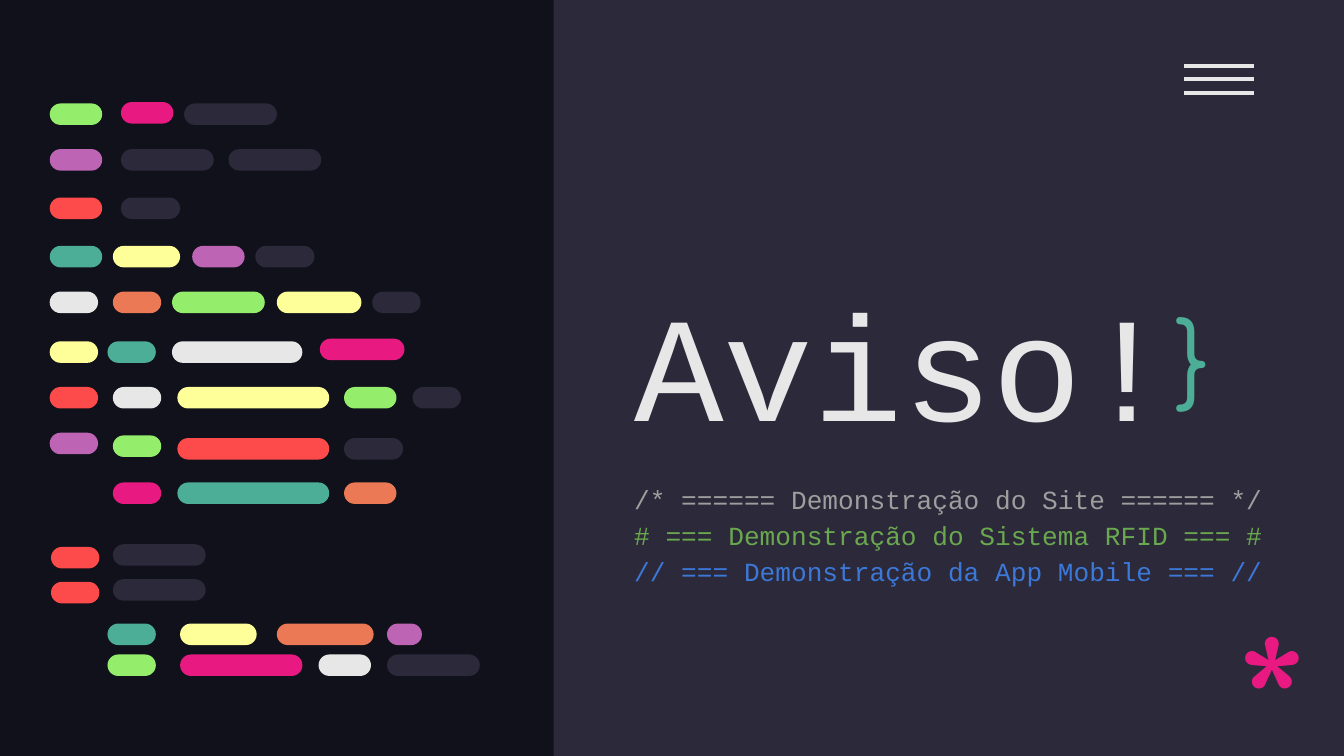
from lxml import etree
from pptx import Presentation
from pptx import util as u
from pptx.dml.color import RGBColor
from pptx.enum import shapes, text
from pptx.oxml.ns import qn

WIDTH = 10
HEIGHT = WIDTH * 9 / 16
PANEL_LEFT = 4.12
TEXT_LEFT = 4.62
PILL_HEIGHT = 0.16
CODE_FONT, SYMBOL_FONT = "Courier New", "Comfortaa"

COLORS = {
    "night": "10111A", "slate": "2C293A", "white": "E7E7E7",
    "green": "94EE6B", "pink": "E81A81", "purple": "BD64B5",
    "red": "FD4A4A", "teal": "4CAE97", "yellow": "FFFF99",
    "orange": "EC7955", "gray": "9E9E9E", "leaf": "6AA84F",
    "blue": "3C78D8",
}

# Top of each row of code, then the left, width and colour of its pills
CODE_ROWS = [
    (0.77, [(0.37, 0.39, "green"), (1.37, 0.69, "slate")]),
    (0.76, [(0.9, 0.39, "pink")]),
    (1.11, [(0.37, 0.39, "purple"), (0.9, 0.69, "slate"), (1.7, 0.69, "slate")]),
    (1.47, [(0.37, 0.39, "red"), (0.9, 0.44, "slate")]),
    (1.83, [(0.37, 0.39, "teal"), (0.84, 0.5, "yellow"),
            (1.43, 0.39, "purple"), (1.9, 0.44, "slate")]),
    (2.17, [(0.37, 0.36, "white"), (0.84, 0.36, "orange"), (1.28, 0.69, "green"),
            (2.06, 0.63, "yellow"), (2.77, 0.36, "slate")]),
    (2.54, [(0.37, 0.36, "yellow"), (0.8, 0.36, "teal"), (1.28, 0.97, "white")]),
    (2.52, [(2.38, 0.63, "pink")]),
    (2.88, [(0.37, 0.36, "red"), (0.84, 0.36, "white"), (1.32, 1.13, "yellow"),
            (2.56, 0.39, "green"), (3.07, 0.36, "slate")]),
    (3.22, [(0.37, 0.36, "purple")]),
    (3.24, [(0.84, 0.36, "green")]),
    (3.26, [(1.32, 1.13, "red"), (2.56, 0.44, "slate")]),
    (3.59, [(0.84, 0.36, "pink"), (1.32, 1.13, "teal"), (2.56, 0.39, "orange")]),
    (4.07, [(0.38, 0.36, "red")]),
    (4.05, [(0.84, 0.69, "slate")]),
    (4.33, [(0.38, 0.36, "red")]),
    (4.31, [(0.84, 0.69, "slate")]),
    (4.64, [(0.8, 0.36, "teal"), (1.34, 0.57, "yellow"),
            (2.06, 0.72, "orange"), (2.88, 0.26, "purple")]),
    (4.87, [(0.8, 0.36, "green"), (1.34, 0.91, "pink"),
            (2.37, 0.39, "white"), (2.88, 0.69, "slate")]),
]

COMMENTS = [
    ("/* ====== Demonstração do Site ====== */", "gray"),
    ("# === Demonstração do Sistema RFID === #", "leaf"),
    ("// === Demonstração da App Mobile === //", "blue"),
]


def color(name):
    return RGBColor.from_string(COLORS[name])


def inches(*lengths):
    return [u.Inches(length) for length in lengths]


def add_block(slide, kind, box, fill):
    shape = slide.shapes.add_shape(kind, *inches(*box))
    shape.shadow.inherit = False
    shape.fill.solid()
    shape.fill.fore_color.rgb = color(fill)
    shape.line.fill.background()
    return shape


def add_panel(slide):
    """Add the right-hand panel behind everything else."""
    box = (PANEL_LEFT, 0, WIDTH - PANEL_LEFT, HEIGHT)
    panel = add_block(slide, shapes.MSO_SHAPE.RECTANGLE, box, "slate")
    slide.shapes._spTree.insert(2, panel._element)


def add_menu_icon(slide):
    for row in range(3):
        top = 0.49 + 0.1 * row
        line = slide.shapes.add_connector(
            shapes.MSO_CONNECTOR.STRAIGHT, *inches(8.81, top, 9.33, top))
        line.line.color.rgb = color("white")
        line.line.width = u.Pt(2.25)
        etree.SubElement(line._element.spPr, qn("a:effectLst"))


def add_code_pills(slide):
    for top, pills in CODE_ROWS:
        for left, width, fill in pills:
            pill = add_block(slide, shapes.MSO_SHAPE.ROUNDED_RECTANGLE,
                             (left, top, width, PILL_HEIGHT), fill)
            pill.adjustments[0] = 0.5


def write_lines(shape, lines, size, font, spacing=1.0,
                anchor=text.MSO_ANCHOR.TOP):
    """Fill a shape with one left-aligned paragraph per (words, colour)."""
    frame = shape.text_frame
    frame.auto_size = text.MSO_AUTO_SIZE.NONE
    frame.word_wrap = True
    frame.vertical_anchor = anchor
    frame.margin_left = frame.margin_right = u.Inches(0.1)
    frame.margin_top = frame.margin_bottom = u.Inches(0.1)
    frame.text = "\n".join(words for words, _ in lines)
    for paragraph, (_, name) in zip(frame.paragraphs, lines):
        paragraph.alignment = text.PP_ALIGN.LEFT
        paragraph.line_spacing = spacing
        paragraph.space_before = u.Pt(0)
        for run in paragraph.runs:
            run.font.size = u.Pt(size)
            run.font.name = font
            run.font.color.rgb = color(name)


def set_title(slide, words):
    title = slide.shapes.title
    title.left, title.top, title.width, title.height = inches(
        TEXT_LEFT, 1.31, 4.6, 2.15)
    write_lines(title, [(words, "white")], 80, CODE_FONT,
                anchor=text.MSO_ANCHOR.BOTTOM)


def add_comments(slide):
    box = add_block(slide, shapes.MSO_SHAPE.RECTANGLE,
                    (TEXT_LEFT, 3.46, 5.09, 1.17), "slate")
    write_lines(box, COMMENTS, 14, CODE_FONT, spacing=1.15)


def add_symbol(slide, symbol, box, size, name):
    shape = slide.shapes.add_textbox(*inches(*box))
    write_lines(shape, [(symbol, name)], size, SYMBOL_FONT)


def main():
    presentation = Presentation()
    presentation.slide_width, presentation.slide_height = inches(WIDTH, HEIGHT)
    slide = presentation.slides.add_slide(presentation.slide_layouts[5])
    slide.background.fill.solid()
    slide.background.fill.fore_color.rgb = color("night")
    add_panel(slide)
    add_menu_icon(slide)
    set_title(slide, "Aviso!")
    add_comments(slide)
    add_symbol(slide, "*", (9.11, 4.35, 0.57, 0.87), 96, "pink")
    add_code_pills(slide)
    add_symbol(slide, "}", (8.65, 2.11, 0.57, 0.95), 50, "teal")
    presentation.save("out.pptx")


if __name__ == "__main__":
    main()
